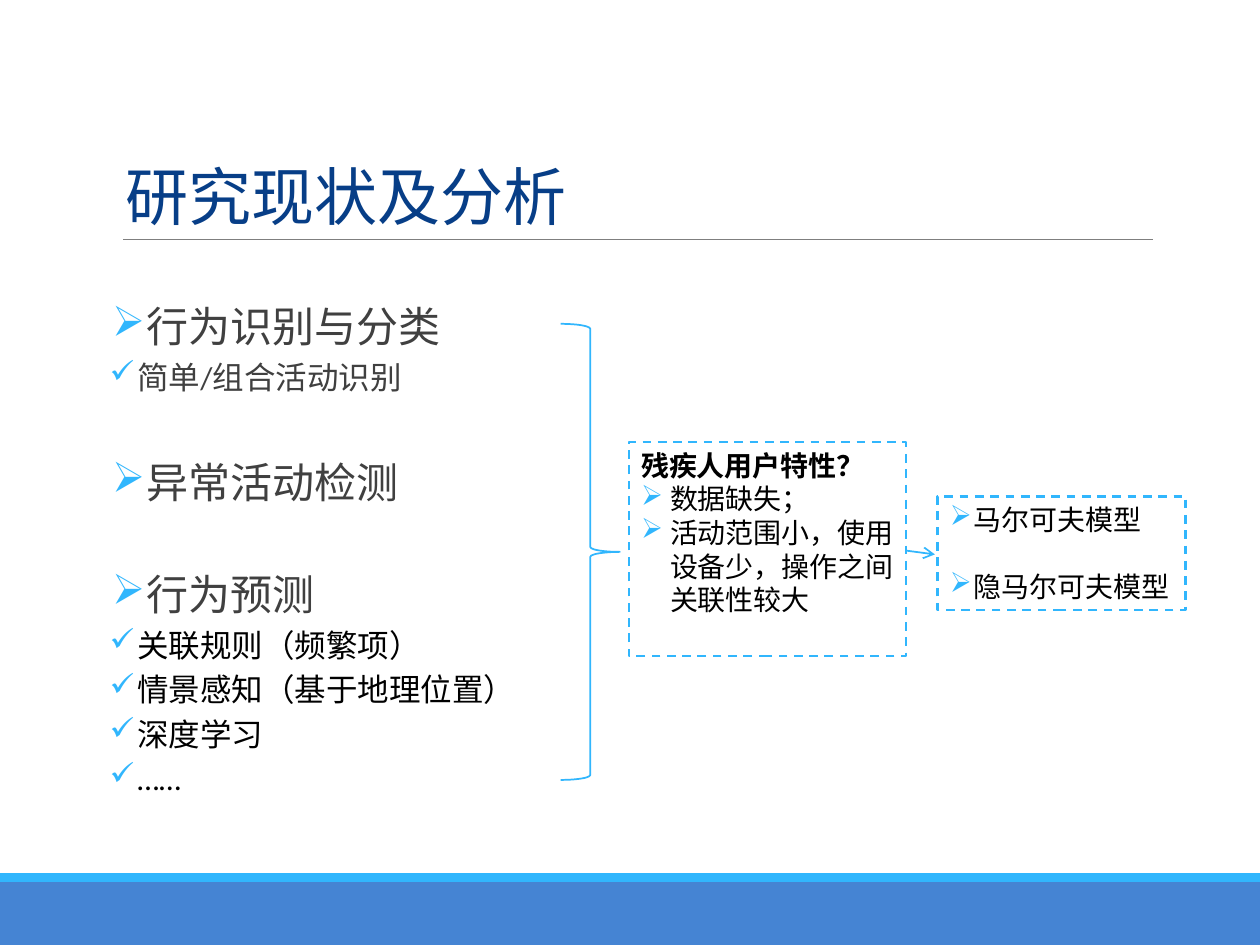
import pptx
import pptx.util
import pptx.dml.color
import pptx.enum.dml
import pptx.enum.shapes
import pptx.enum.text
import pptx.oxml.ns
import lxml.etree

Inches = pptx.util.Inches
Pt = pptx.util.Pt
SHAPES = pptx.enum.shapes.MSO_SHAPE

COLORS = {
    "sky": "31B6FD",
    "blue": "4584D3",
    "navy": "073E87",
    "gray": "7F7F7F",
    "dark": "404040",
    "black": "000000",
    "white": "FFFFFF",
}


def color(name):
    return pptx.dml.color.RGBColor.from_string(COLORS[name])


def add_element(parent, tag, **attributes):
    element = lxml.etree.SubElement(parent, pptx.oxml.ns.qn(tag))
    for key, value in attributes.items():
        element.set(key, str(value))
    return element


class SlideBuilder:
    """Holds the slide and the style shared by its elements."""

    def __init__(self, slide):
        self.slide = slide
        self.title_font = "Calibri"
        self.box_font = "Cabin"

    def shape(self, kind, box, fill=None, line=None, width=1, dashed=False):
        shape = self.slide.shapes.add_shape(kind, *map(Inches, box))
        shape.shadow.inherit = False
        if fill:
            shape.fill.solid()
            shape.fill.fore_color.rgb = color(fill)
        else:
            shape.fill.background()
        if line:
            shape.line.color.rgb = color(line)
            shape.line.width = Pt(width)
        else:
            shape.line.fill.background()
        if dashed:
            shape.line.dash_style = pptx.enum.dml.MSO_LINE.DASH
        return shape

    def line(self, start, end, line, width, arrow=False):
        connector = self.slide.shapes.add_connector(
            pptx.enum.shapes.MSO_CONNECTOR.STRAIGHT, *map(Inches, start + end))
        connector.line.color.rgb = color(line)
        connector.line.width = Pt(width)
        if arrow:
            add_element(connector.line._get_or_add_ln(), "a:tailEnd", type="arrow")
        add_element(connector._element.spPr, "a:effectLst")

    def text_box(self, box, anchor, side_inset=0.1):
        frame = self.slide.shapes.add_textbox(*map(Inches, box)).text_frame
        frame.word_wrap = True
        frame.vertical_anchor = anchor
        frame.margin_left = frame.margin_right = Inches(side_inset)
        return frame

    def dashed_box(self, box):
        shape = self.shape(SHAPES.RECTANGLE, box, "white", "sky", 1.25, dashed=True)
        frame = shape.text_frame
        frame.word_wrap = True
        frame.vertical_anchor = pptx.enum.text.MSO_ANCHOR.TOP
        return frame

    def paragraph(self, frame, text, size, font, text_color, bold=False, bullet=None,
                  margin=0, hanging=0, before=0, after=0, spacing=1.0):
        paragraph = frame.paragraphs[0] if not frame.text else frame.add_paragraph()
        paragraph.text = text
        paragraph.alignment = pptx.enum.text.PP_ALIGN.LEFT
        paragraph.line_spacing = spacing
        paragraph.space_before = Pt(before)
        paragraph.space_after = Pt(after)
        for run in paragraph.runs:
            run.font.size = Pt(size)
            run.font.name = font
            run.font.bold = bold
            run.font.color.rgb = color(text_color)
            add_element(run.font._element, "a:ea", typeface=font)
        if bullet:
            properties = paragraph._p.get_or_add_pPr()
            properties.set("marL", str(Inches(margin)))
            properties.set("indent", str(-Inches(hanging)))
            bullet_color = add_element(properties, "a:buClr")
            add_element(bullet_color, "a:srgbClr", val=COLORS["sky"])
            add_element(properties, "a:buChar", char=bullet)

    def topic(self, frame, text, before=2):
        self.paragraph(frame, text, 24, self.title_font, "dark", bullet="➢",
                       margin=0.49, hanging=0.27, before=before, after=4, spacing=0.9)

    def detail(self, frame, text, text_color):
        self.paragraph(frame, text, 18, self.title_font, text_color, bullet="✓",
                       margin=0.42, hanging=0.22, before=2, after=4, spacing=0.9)

    def box_line(self, frame, text, **options):
        self.paragraph(frame, text, 16, self.box_font, "black", **options)


def main():
    presentation = pptx.Presentation()
    presentation.slide_width = Inches(10)
    presentation.slide_height = Inches(7.5)
    slide = presentation.slides.add_slide(presentation.slide_layouts[6])
    builder = SlideBuilder(slide)
    anchors = pptx.enum.text.MSO_ANCHOR

    # Footer bands and title rule
    builder.shape(SHAPES.RECTANGLE, (0, 7, 10, 0.5), "blue")
    builder.shape(SHAPES.RECTANGLE, (0, 6.93, 10, 0.07), "sky")
    builder.line((0.98, 1.9), (9.15, 1.9), "gray", 0.5)

    # Title
    title = builder.text_box((0.9, 0.31, 8.25, 1.59), anchors.BOTTOM)
    builder.paragraph(title, "研究现状及分析", 36, builder.title_font, "navy", spacing=0.85)

    # Research topics
    topics = builder.text_box((0.67, 2.38, 3.99, 4.04), anchors.TOP, side_inset=0)
    builder.topic(topics, "行为识别与分类")
    builder.detail(topics, "简单/组合活动识别", "dark")
    builder.topic(topics, "异常活动检测", before=34)
    builder.topic(topics, "行为预测", before=34)
    for text in ("关联规则（频繁项）", "情景感知（基于地理位置）", "深度学习", "……"):
        builder.detail(topics, text, "black")

    # Brace that gathers the topics
    builder.shape(SHAPES.RIGHT_BRACE, (4.45, 2.57, 0.47, 3.62), line="sky")

    # User characteristics
    users = builder.dashed_box((4.99, 3.51, 2.2, 1.7))
    builder.box_line(users, "残疾人用户特性？", bold=True)
    for text in ("数据缺失；", "活动范围小，使用设备少，操作之间关联性较大"):
        builder.box_line(users, text, bullet="➢", margin=0.23, hanging=0.23)

    # Models that follow from them
    builder.line((7.19, 4.37), (7.42, 4.4), "sky", 1, arrow=True)
    models = builder.dashed_box((7.44, 3.94, 1.97, 0.9))
    for text, before in (("马尔可夫模型", 0), ("隐马尔可夫模型", 19)):
        builder.box_line(models, text, bullet="➢", margin=0.19, hanging=0.19, before=before)

    presentation.save("out.pptx")


if __name__ == "__main__":
    main()
